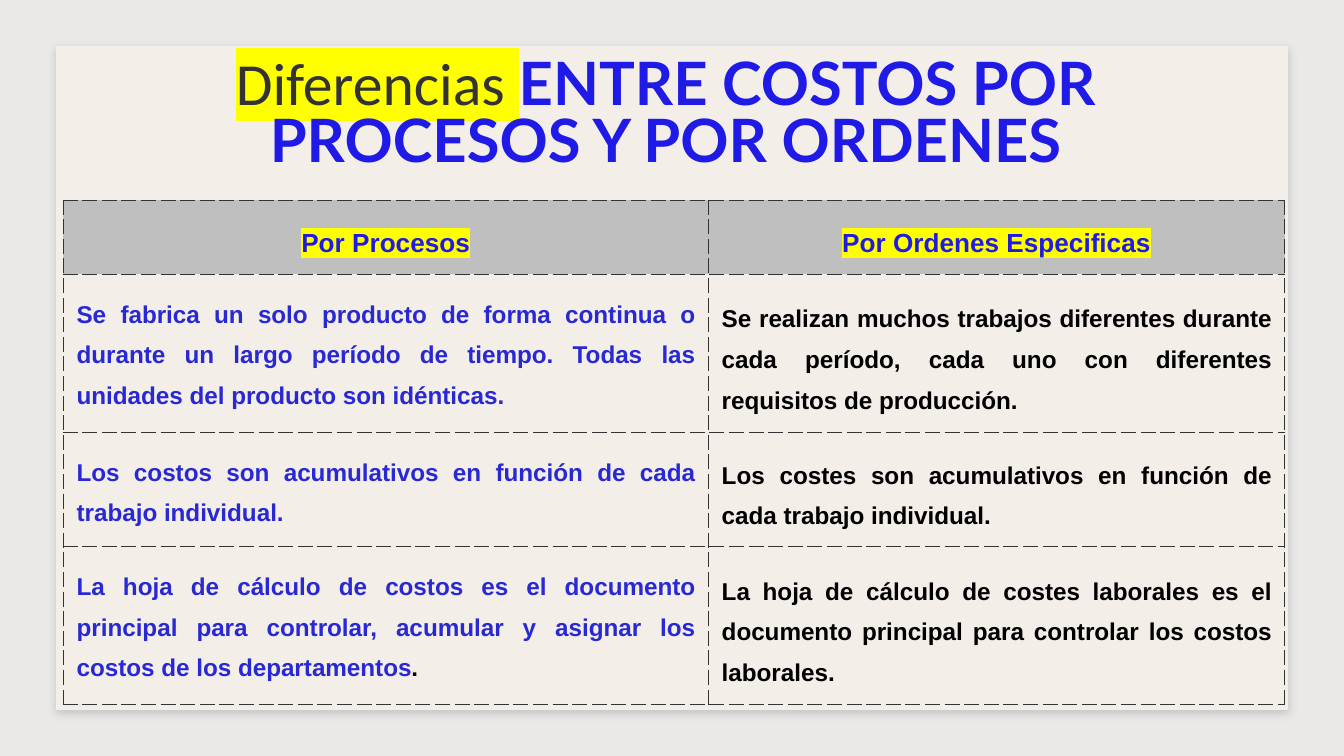
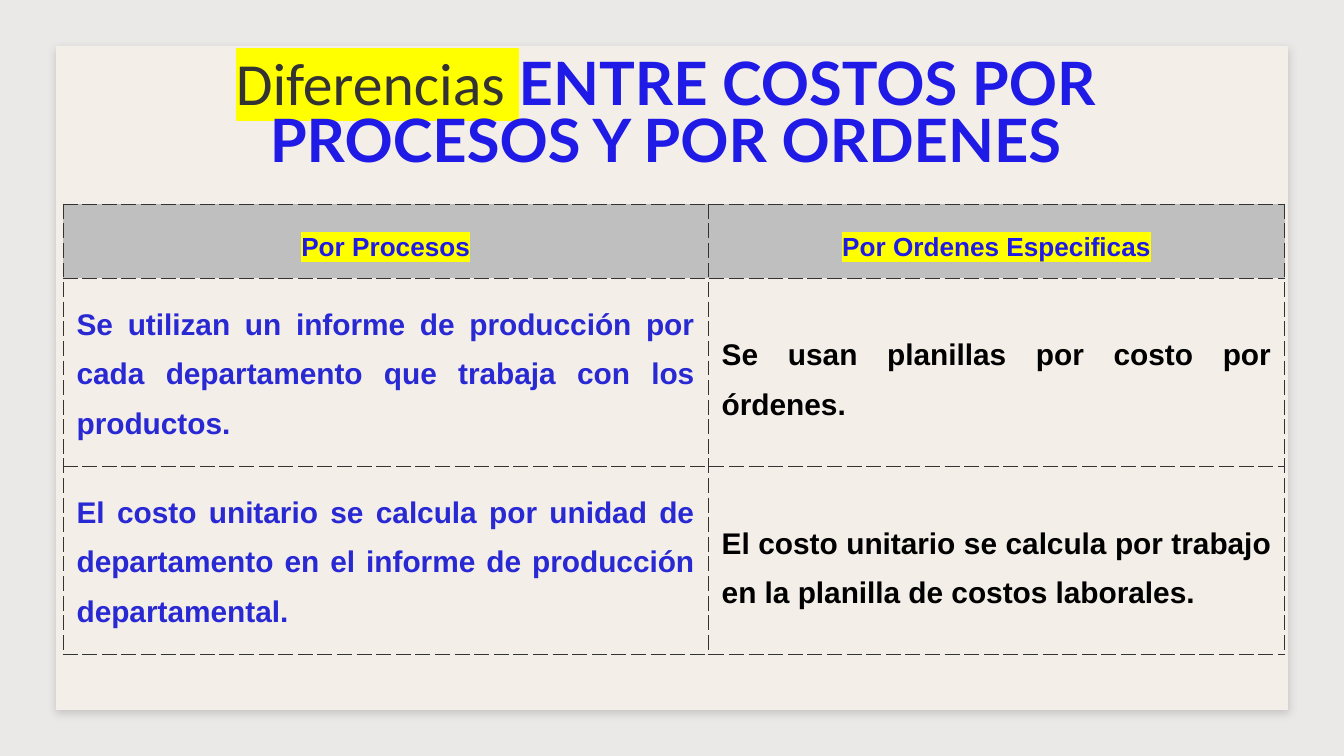
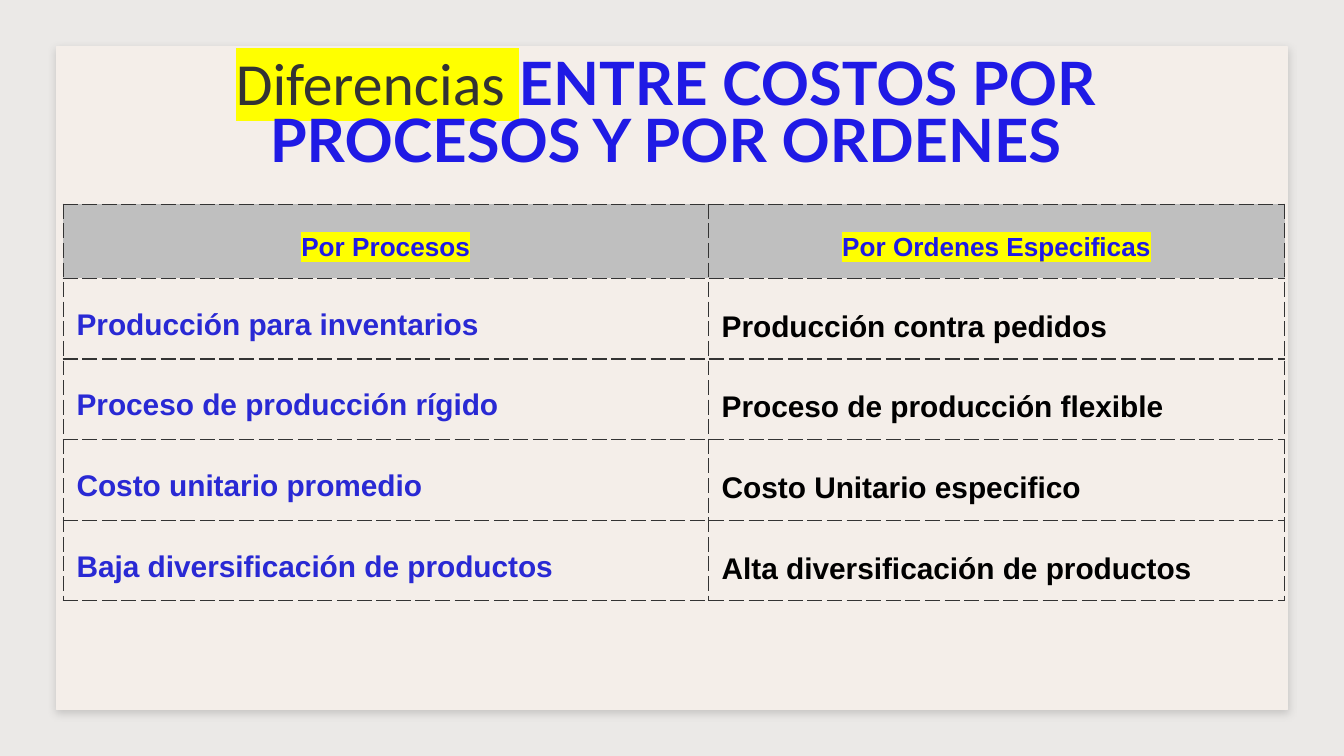
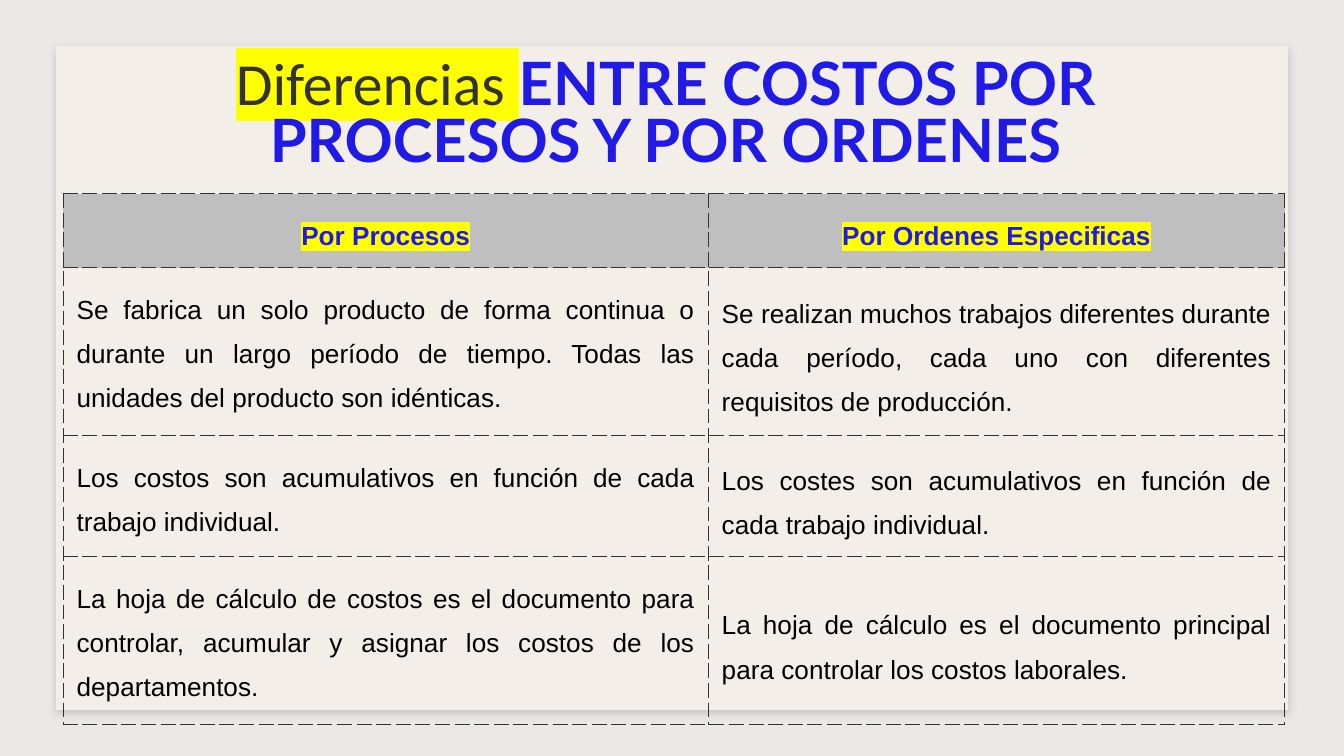
from copy import deepcopy
from dataclasses import dataclass, replace

from pptx import Presentation
from pptx.dml.color import RGBColor
from pptx.enum.shapes import MSO_SHAPE
from pptx.enum.text import MSO_ANCHOR, PP_ALIGN
from pptx.oxml import parse_xml
from pptx.oxml.ns import nsdecls, qn
from pptx.util import Inches, Pt

RECTANGLE = MSO_SHAPE.RECTANGLE
TOP, MIDDLE = MSO_ANCHOR.TOP, MSO_ANCHOR.MIDDLE
CENTER, JUSTIFY = PP_ALIGN.CENTER, PP_ALIGN.JUSTIFY

BACKDROP = "EBE9E7"
CARD = "F4EEE9"
DARK = "333333"
TITLE_BLUE = "1F1AE5"
BODY_BLUE = "2929D4"
BLACK = "000000"
YELLOW = "FFFF00"
HEADER_GRAY = "BFBFBF"

SLIDE_WIDTH = Inches(10)
SLIDE_HEIGHT = SLIDE_WIDTH * 9 // 16
COLUMN_WIDTHS = (4.8, 4.29)
HEADERS = ("Por Procesos", "Por Ordenes Especificas")
TABLE_LEFT = 0.47
HEADER_HEIGHT = 0.55
PADDING = Inches(0.1)


@dataclass(frozen=True)
class Style:
    size: float
    color: str
    font: str = "Arial"
    bold: bool = True
    highlight: str = ""


@dataclass(frozen=True)
class Comparison:
    top: float
    height: float
    size: float
    rows: tuple[tuple[str, str], ...]
    row_heights: tuple[float, ...]
    process_color: str = BODY_BLUE
    bold: bool = True
    # Closing mark set in the colour of the second column
    black_ending: str = ""


TITLE_LEAD = Style(32, DARK, "Calibri", False, YELLOW)
TITLE_MAIN = Style(32, TITLE_BLUE, "Lato")
HEADER = Style(14, TITLE_BLUE, highlight=YELLOW)

PRODUCT_ROW = (
    "Se fabrica un solo producto de forma continua o durante un largo período "
    "de tiempo. Todas las unidades del producto son idénticas.",
    "Se realizan muchos trabajos diferentes durante cada período, cada uno con "
    "diferentes requisitos de producción.",
)
COST_ROW = (
    "Los costos son acumulativos en función de cada trabajo individual.",
    "Los costes son acumulativos en función de cada trabajo individual.",
)

COMPARISONS = (
    Comparison(1.49, 3.57, 13, (
        PRODUCT_ROW,
        COST_ROW,
        ("La hoja de cálculo de costos es el documento principal para controlar, "
         "acumular y asignar los costos de los departamentos.",
         "La hoja de cálculo de costes laborales es el documento principal para "
         "controlar los costos laborales."),
    ), (0.69, 0.6, 0.98), black_ending="."),
    Comparison(1.52, 3.17, 16, (
        ("Se utilizan un informe de producción por cada departamento que trabaja "
         "con los productos.",
         "Se usan planillas por costo por órdenes."),
        ("El costo unitario se calcula por unidad de departamento en el informe "
         "de producción departamental. ",
         "El costo unitario se calcula por trabajo en la planilla de costos "
         "laborales. "),
    ), (0.55,) * 2),
    Comparison(1.52, 2.83, 16, (
        ("Producción para inventarios", "Producción contra pedidos"),
        ("Proceso de producción rígido", "Proceso de producción flexible"),
        ("Costo unitario promedio", "Costo Unitario especifico"),
        ("Baja diversificación de productos", "Alta diversificación de productos"),
    ), (0.55,) * 4),
    Comparison(1.44, 3.77, 14, (
        PRODUCT_ROW,
        COST_ROW,
        ("La hoja de cálculo de costos es el documento para controlar, acumular "
         "y asignar los costos de los departamentos.",
         "La hoja de cálculo es el documento principal para controlar los costos "
         "laborales."),
    ), (0.55,) * 3, process_color=BLACK, bold=False),
)


def rgb(value: str) -> RGBColor:
    return RGBColor.from_string(value)


def add_span(para, text: str, style: Style):
    span = para.add_run()
    span.text = text
    span.font.size = Pt(style.size)
    span.font.name = style.font
    span.font.bold = style.bold
    span.font.color.rgb = rgb(style.color)
    if style.highlight:
        # The schema wants the highlight right after the text fill
        fill = span._r.get_or_add_rPr().find(qn("a:solidFill"))
        fill.addnext(parse_xml(
            f'<a:highlight {nsdecls("a")}><a:srgbClr val="{style.highlight}"/>'
            "</a:highlight>"))
    return span


def end_with_break(para, span) -> None:
    """Close the paragraph with a line break as tall as the span."""
    para.add_line_break()
    properties = span._r.get_or_add_rPr()
    para._p.find(qn("a:br")).append(deepcopy(properties))
    ending = parse_xml(f'<a:endParaRPr {nsdecls("a")}/>')
    for name, value in properties.items():
        ending.set(name, value)
    for child in properties:
        ending.append(deepcopy(child))
    para._p.append(ending)


def set_padding(target) -> None:
    """Give a text frame or table cell the same margin on every side."""
    target.margin_left = target.margin_right = PADDING
    target.margin_top = target.margin_bottom = PADDING


def add_card(page) -> None:
    card = page.shapes.add_shape(
        RECTANGLE, Inches(0.42), Inches(0.35), Inches(9.16), Inches(4.93))
    card.fill.solid()
    card.fill.fore_color.rgb = rgb(CARD)
    card.line.color.rgb = rgb(CARD)
    card.line.width = Pt(0.75)
    card._element.spPr.append(parse_xml(
        f'<a:effectLst {nsdecls("a")}>'
        f'<a:outerShdw blurRad="{Pt(4.5)}" dist="{Pt(1.5)}" dir="5400000" '
        f'algn="bl" rotWithShape="0"><a:srgbClr val="{DARK}">'
        '<a:alpha val="20000"/></a:srgbClr></a:outerShdw></a:effectLst>'))


def add_title(page) -> None:
    box = page.shapes.add_textbox(
        Inches(0.74), Inches(0.64), Inches(8.43), Inches(0.99))
    frame = box.text_frame
    frame.word_wrap = True
    frame.vertical_anchor = MIDDLE
    set_padding(frame)
    para = frame.paragraphs[0]
    para.alignment = CENTER
    para.line_spacing = 0.8
    add_span(para, "Diferencias ", TITLE_LEAD)
    main_span = add_span(
        para, "ENTRE COSTOS POR PROCESOS Y POR ORDENES", TITLE_MAIN)
    end_with_break(para, main_span)


def add_borders(cell) -> None:
    properties = cell._tc.get_or_add_tcPr()
    for position, side in enumerate(("lnL", "lnR", "lnT", "lnB")):
        properties.insert(position, parse_xml(
            f'<a:{side} {nsdecls("a")} w="{Pt(0.75)}"><a:solidFill>'
            f'<a:srgbClr val="{DARK}"/></a:solidFill>'
            f'<a:prstDash val="lgDash"/></a:{side}>'))


def fill_cell(cell, spans: list[tuple[str, Style]], align, anchor,
              fill: str = "") -> None:
    set_padding(cell)
    cell.vertical_anchor = anchor
    if fill:
        cell.fill.solid()
        cell.fill.fore_color.rgb = rgb(fill)
    else:
        cell.fill.background()
    add_borders(cell)
    para = cell.text_frame.paragraphs[0]
    para.alignment = align
    para.line_spacing = 1.5
    for text, style in spans:
        add_span(para, text, style)


def add_comparison(page, comparison: Comparison) -> None:
    frame = page.shapes.add_table(
        len(comparison.rows) + 1, len(HEADERS), Inches(TABLE_LEFT),
        Inches(comparison.top), Inches(sum(COLUMN_WIDTHS)),
        Inches(comparison.height))
    table = frame.table
    table.first_row = table.horz_banding = False
    for column, width in zip(table.columns, COLUMN_WIDTHS):
        column.width = Inches(width)
    for row, height in zip(table.rows, (HEADER_HEIGHT, *comparison.row_heights)):
        row.height = Inches(height)
    # Rows grow with their text, so the frame is taller than their sum
    frame.height = Inches(comparison.height)

    for column, header in enumerate(HEADERS):
        fill_cell(table.cell(0, column), [(header, HEADER)], CENTER, TOP,
                  HEADER_GRAY)

    orders = Style(comparison.size, BLACK, bold=comparison.bold)
    process = replace(orders, color=comparison.process_color)
    for number, (process_text, orders_text) in enumerate(comparison.rows, 1):
        spans = [(process_text, process)]
        ending = comparison.black_ending
        if ending and number == len(comparison.rows):
            spans = [(process_text.removesuffix(ending), process),
                     (ending, orders)]
        fill_cell(table.cell(number, 0), spans, JUSTIFY, TOP)
        fill_cell(table.cell(number, 1), [(orders_text, orders)], JUSTIFY, MIDDLE)


def main() -> None:
    deck = Presentation()
    deck.slide_width, deck.slide_height = SLIDE_WIDTH, SLIDE_HEIGHT
    backdrop = deck.slide_master.background.fill
    backdrop.solid()
    backdrop.fore_color.rgb = rgb(BACKDROP)
    for comparison in COMPARISONS:
        page = deck.slides.add_slide(deck.slide_layouts[6])
        add_card(page)
        add_title(page)
        add_comparison(page, comparison)
    deck.save("out.pptx")


if __name__ == "__main__":
    main()
